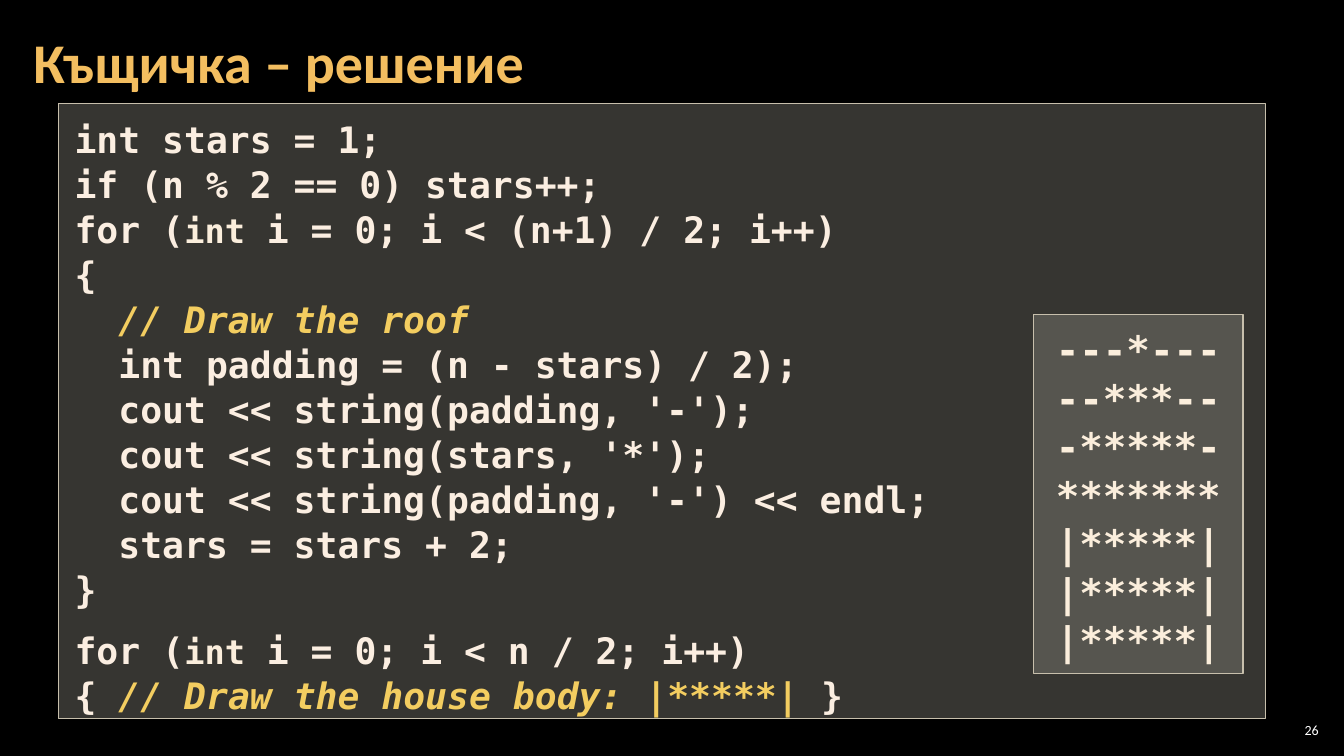
"""Build the slide with the house-drawing solution code and its sample output."""
from dataclasses import dataclass

from lxml.etree import SubElement
from pptx import Presentation
from pptx.dml.color import RGBColor
from pptx.enum.text import MSO_ANCHOR, PP_ALIGN
from pptx.oxml.ns import qn
from pptx.util import Emu, Pt

PX = 9144
BLACK = RGBColor(0x00, 0x00, 0x00)
WHITE = RGBColor(0xFF, 0xFF, 0xFF)
ORANGE = RGBColor(0xF3, 0xBE, 0x60)
YELLOW = RGBColor(0xF3, 0xCD, 0x60)
CREAM = RGBColor(0xFB, 0xEE, 0xE1)
PALE = RGBColor(0xFB, 0xEE, 0xDC)
PANEL = RGBColor(0xD9, 0xD5, 0xC7)
BORDER = RGBColor(0xC7, 0xBF, 0xAC)
SANS = "Calibri"
MONO = "DejaVu Sans Mono"


@dataclass(frozen=True)
class Run:
    text: str
    size: int = 26
    color: RGBColor = CREAM
    font: str = MONO
    bold: bool = True
    italic: bool = False


@dataclass(frozen=True)
class Line:
    runs: tuple[Run, ...]
    before: int = 0
    spacing: float = 1.03
    align: PP_ALIGN = PP_ALIGN.LEFT


@dataclass(frozen=True)
class Panel:
    box: tuple[int, int, int, int]
    opacity: int
    insets: tuple[int, int]
    anchor: MSO_ANCHOR
    lines: tuple[Line, ...]


def code(text: str) -> Line:
    return Line((Run(text),))


def loop(limit: str, before: int = 0) -> Line:
    return Line((Run("for ("), Run("int", 24, PALE),
                 Run(f" i = 0; i < {limit}; i++)")), before)


CODE = (
    code("int stars = 1;"),
    code("if (n % 2 == 0) stars++;"),
    loop("(n+1) / 2"),
    code("{"),
    Line((Run("  // Draw the roof", color=YELLOW, italic=True),)),
    code("  int padding = (n - stars) / 2);"),
    code("  cout << string(padding, '-');"),
    code("  cout << string(stars, '*');"),
    code("  cout << string(padding, '-') << endl;"),
    code("  stars = stars + 2;"),
    code("}"),
    loop("n / 2", 12),
    Line((Run("{ "), Run("// Draw the house body: ", color=YELLOW, italic=True),
          Run("|*****| ", color=YELLOW), Run("}"))),
)
HOUSE = tuple(
    Line((Run(row, 28, PALE),), align=PP_ALIGN.CENTER)
    for row in ("---*---", "--***--", "-*****-", "*******", *["|*****|"] * 3)
)
PANELS = (
    Panel((58, 103, 1197, 610), 25, (16, 12), MSO_ANCHOR.TOP, CODE),
    Panel((1025, 312, 208, 356), 20, (10, 5), MSO_ANCHOR.MIDDLE, HOUSE),
)


def px(*values: int) -> list[Emu]:
    return [Emu(v * PX) for v in values]


def write(tf, lines: tuple[Line, ...], insets: tuple[int, int],
          anchor: MSO_ANCHOR) -> None:
    tf.word_wrap = True
    tf.vertical_anchor = anchor
    tf.margin_left, tf.margin_top = px(*insets)
    tf.margin_right, tf.margin_bottom = px(*insets)
    for i, line in enumerate(lines):
        p = tf.add_paragraph() if i else tf.paragraphs[0]
        p.alignment = line.align
        p.line_spacing = line.spacing
        if line.before:
            p.space_before = Pt(line.before)
        for run in line.runs:
            r = p.add_run()
            r.text = run.text
            r.font.name = run.font
            r.font.size = Pt(run.size)
            r.font.bold = run.bold
            r.font.italic = run.italic
            r.font.color.rgb = run.color


def add_panel(slide, panel: Panel) -> None:
    sp = slide.shapes.add_shape(1, *px(*panel.box))
    sp.shadow.inherit = False
    sp.fill.solid()
    sp.fill.fore_color.rgb = PANEL
    clr = sp._element.spPr.find(qn("a:solidFill")).find(qn("a:srgbClr"))
    SubElement(clr, qn("a:alpha")).set("val", str(panel.opacity * 1000))
    sp.line.color.rgb = BORDER
    sp.line.width = Pt(1)
    write(sp.text_frame, panel.lines, panel.insets, panel.anchor)


def main() -> None:
    prs = Presentation()
    prs.slide_width, prs.slide_height = px(1333, 750)
    slide = prs.slides.add_slide(prs.slide_layouts[5])
    slide.background.fill.solid()
    slide.background.fill.fore_color.rgb = BLACK

    title = slide.shapes.title
    title.left, title.top, title.width, title.height = px(21, 4, 1047, 121)
    heading = Line((Run("Къщичка – решение", 40, ORANGE, SANS),), spacing=0.9)
    write(title.text_frame, (heading,), (12, 4), MSO_ANCHOR.MIDDLE)

    for panel in PANELS:
        add_panel(slide, panel)

    number = slide.shapes.add_textbox(*px(1265, 714, 47, 21))
    page = Line((Run("26", 10, WHITE, SANS, bold=False),), spacing=1.0,
                align=PP_ALIGN.RIGHT)
    write(number.text_frame, (page,), (4, 4), MSO_ANCHOR.MIDDLE)
    prs.save("out.pptx")


if __name__ == "__main__":
    main()
